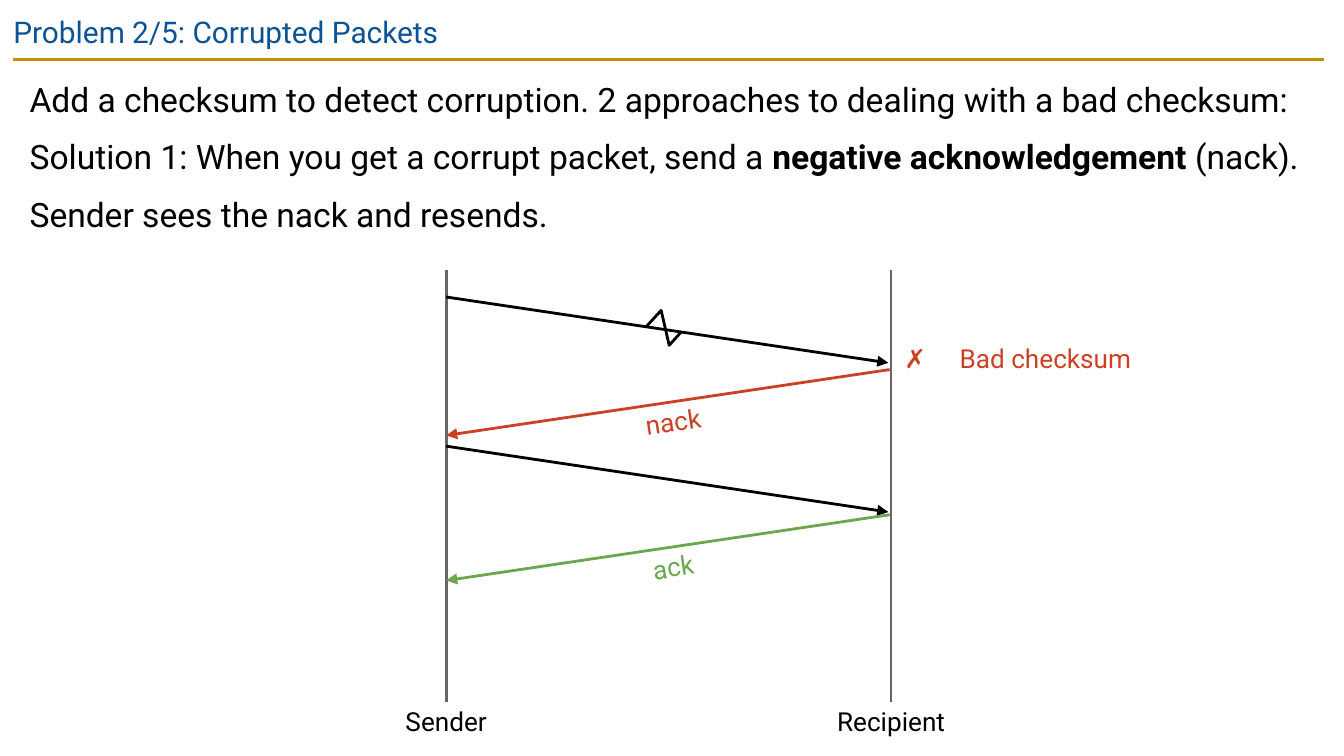
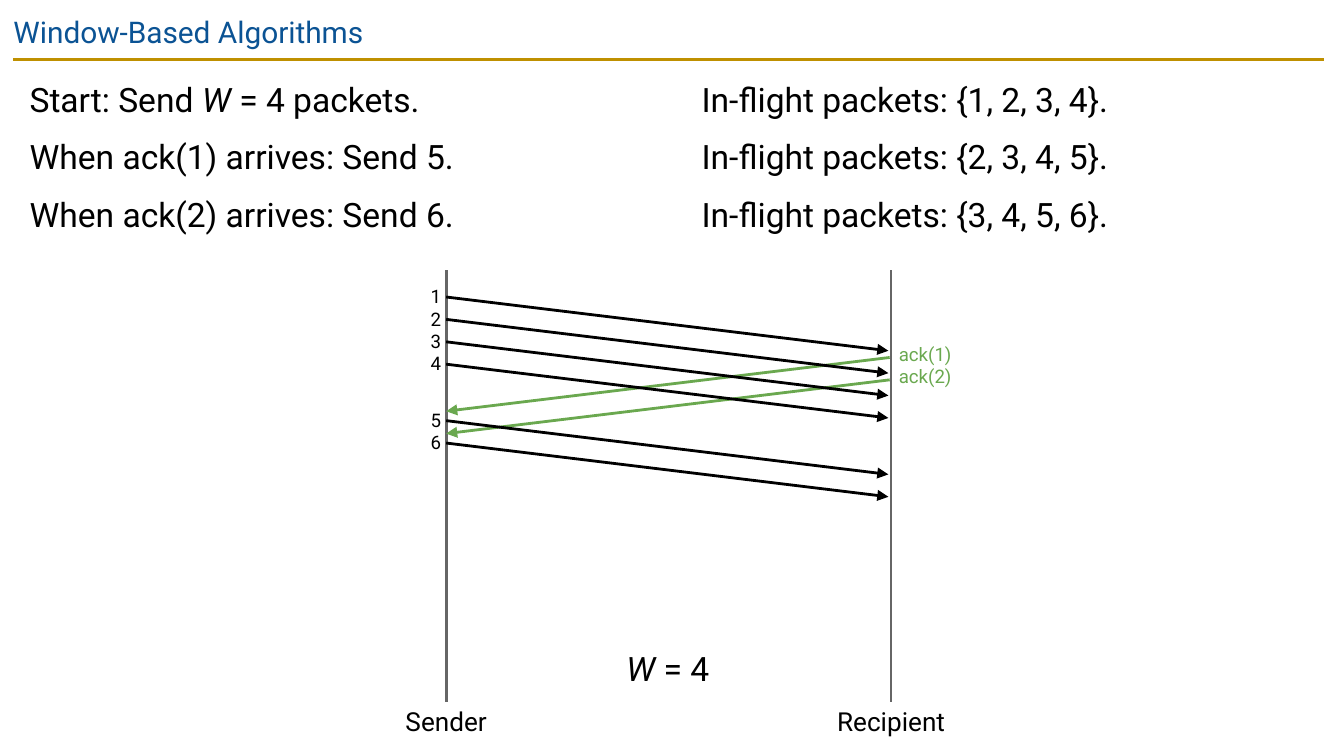
from lxml.etree import SubElement
from pptx import Presentation
from pptx.dml.color import RGBColor
from pptx.enum.shapes import MSO_CONNECTOR as Connector
from pptx.enum.text import MSO_ANCHOR as Anchor, MSO_AUTO_SIZE as AutoSize, PP_ALIGN as Align
from pptx.oxml.ns import qn
from pptx.util import Inches, Pt

FONT = "Roboto"
BLACK, GREY, BLUE, GOLD = "000000", "666666", "0B5394", "BF9000"
RED, GREEN = "CC4125", "6AA84F"

# Lifelines of the sequence diagram
SENDER_X, RECIPIENT_X = 3.32, 6.63
LIFELINE_TOP, LIFELINE_BOTTOM = 2.01, 5.22
ARROW_GAP = 0.02  # between an arrow and the recipient lifeline
LIFELINES = [("Sender", SENDER_X, 1.21), ("Recipient", RECIPIENT_X, 1.31)]

# A paragraph is a list of (text, style) runs; style is "", "b" or "i".
CORRUPTED = {
    "title": "Problem 2/5: Corrupted Packets",
    "body": [
        [("Add a checksum to detect corruption. 2 approaches to dealing with a bad checksum:", "")],
        [("Solution 1: When you get a corrupt packet, send a ", ""),
         ("negative acknowledgement", "b"), (" (nack).", "")],
        [("Sender sees the nack and resends.", "")],
    ],
    "packets": [2.21, 3.32],
    "drop": 0.49,
    # label, colour, start height, label width
    "replies": [("nack", RED, 2.75, 0.53), ("ack", GREEN, 3.83, 0.47)],
    "verdict": [("✗", "b"), ("\tBad checksum", "")],
    "zigzag": [(4.81, 2.43), (4.92, 2.31), (4.98, 2.57), (5.07, 2.47)],
}

WINDOW = {
    "title": "Window-Based Algorithms",
    "body": [
        [("Start: Send ", ""), ("W", "i"),
         (" = 4 packets.\tIn-flight packets: {1, 2, 3, 4}.", "")],
        [("When ack(1) arrives: Send 5.\tIn-flight packets: {2, 3, 4, 5}.", "")],
        [("When ack(2) arrives: Send 6.\tIn-flight packets: {3, 4, 5, 6}.", "")],
    ],
    "drop": 0.4,
    "step": 1 / 6,
    # labels, height of the first arrow
    "packets": [(["1", "2", "3", "4"], 2.21), (["5", "6"], 3.13)],
    "acks": (["ack(1)", "ack(2)"], 2.66),
    "size": [("W", "i"), (" = 4", "")],
}


def rgb(colour):
    return RGBColor.from_string(colour)


def write(frame, paragraphs, size, colour, align=Align.LEFT, insets=(0.1, 0.1),
          line_spacing=None, space_before=0, tab=None):
    """Fill a text frame; insets are (horizontal, vertical), tab is the tab distance in inches."""
    frame.word_wrap = True
    frame.auto_size = AutoSize.NONE
    frame.vertical_anchor = Anchor.TOP
    frame.margin_left = frame.margin_right = Inches(insets[0])
    frame.margin_top = frame.margin_bottom = Inches(insets[1])
    for index, runs in enumerate(paragraphs):
        paragraph = frame.add_paragraph() if index else frame.paragraphs[0]
        properties = paragraph._p.get_or_add_pPr()
        properties.set("marL", "0")
        properties.set("indent", "0")
        if tab:
            properties.set("defTabSz", str(Inches(tab)))
        SubElement(properties, qn("a:buNone"))
        paragraph.alignment = align
        paragraph.space_before = Pt(space_before if index else 0)
        if line_spacing:
            paragraph.line_spacing = line_spacing
        for text, style in runs:
            run = paragraph.add_run()
            run.text = text
            run.font.name = FONT
            run.font.size = Pt(size)
            run.font.color.rgb = rgb(colour)
            run.font.bold = style == "b"
            run.font.italic = style == "i"


def add_text(shapes, box, paragraphs, size, colour, **options):
    textbox = shapes.add_textbox(*map(Inches, box))
    write(textbox.text_frame, paragraphs, size, colour, **options)
    return textbox


def add_line(shapes, start, end, colour, arrow=False):
    line = shapes.add_connector(Connector.STRAIGHT, *map(Inches, (*start, *end)))
    line.line.color.rgb = rgb(colour)
    line.line.width = Pt(1.5)
    properties = line._element.spPr
    if arrow:
        SubElement(properties.find(qn("a:ln")), qn("a:tailEnd"), type="triangle")
    SubElement(properties, qn("a:effectLst"))


def add_packet(shapes, top, drop):
    add_line(shapes, (SENDER_X, top), (RECIPIENT_X - ARROW_GAP, top + drop), BLACK, arrow=True)


def add_reply(shapes, top, drop, colour):
    add_line(shapes, (RECIPIENT_X - ARROW_GAP / 2, top), (SENDER_X, top + drop), colour, arrow=True)


def fill_placeholder(placeholder, box, paragraphs, size, colour, **options):
    placeholder.left, placeholder.top, placeholder.width, placeholder.height = map(Inches, box)
    write(placeholder.text_frame, paragraphs, size, colour, **options)


def add_diagram_slide(presentation, content):
    """Add a slide with title, rule, body and the two labelled lifelines."""
    slide = presentation.slides.add_slide(presentation.slide_layouts[1])
    shapes = slide.shapes
    fill_placeholder(shapes.title, (0, 0, 9.32, 0.43), [[(content["title"], "")]], 16, BLUE)
    fill_placeholder(slide.placeholders[1], (0.12, 0.44, 9.74, 1.46), content["body"], 18, BLACK,
                     line_spacing=1.15, space_before=6, tab=5)
    add_line(shapes, (0.1, 0.44), (9.85, 0.44), GOLD)
    for name, x, width in LIFELINES:
        add_line(shapes, (x, LIFELINE_TOP), (x, LIFELINE_BOTTOM), GREY)
        add_text(shapes, (x - width / 2, LIFELINE_BOTTOM, width, 0.3), [[(name, "")]], 14, BLACK,
                 align=Align.CENTER, insets=(0.1, 0.03))
    return shapes


def add_zigzag(shapes, points):
    first, *others = [(Inches(x), Inches(y)) for x, y in points]
    builder = shapes.build_freeform(*first)
    builder.add_line_segments(others, close=False)
    zigzag = builder.convert_to_shape()
    zigzag.shadow.inherit = False
    zigzag.fill.background()
    zigzag.line.color.rgb = rgb(BLACK)
    zigzag.line.width = Pt(1.5)


def build_corrupted(presentation):
    shapes = add_diagram_slide(presentation, CORRUPTED)
    drop = CORRUPTED["drop"]
    for top in CORRUPTED["packets"]:
        add_packet(shapes, top, drop)
    label_center = 5.01
    for name, colour, top, width in CORRUPTED["replies"]:
        reply = shapes.add_group_shape().shapes
        add_reply(reply, top, drop, colour)
        label = add_text(reply, (label_center - width / 2, top + 0.24, width, 0.31),
                         [[(name, "")]], 14, colour, align=Align.CENTER, insets=(0.03, 0.03))
        label.rotation = 351.5
    add_text(shapes, (6.7, 2.52, 1.83, 0.3), [CORRUPTED["verdict"]], 14, RED,
             insets=(0.03, 0.03), tab=0.41)
    add_zigzag(shapes, CORRUPTED["zigzag"])


def build_window(presentation):
    shapes = add_diagram_slide(presentation, WINDOW)
    drop, step = WINDOW["drop"], WINDOW["step"]

    def add_labels(left, width, first_top, labels, colour, align):
        """Stack one label per arrow, the first centred on first_top."""
        box = (left, first_top - 0.19, width, 0.2 + 0.17 * len(labels))
        add_text(shapes, box, [[(label, "")] for label in labels], 10, colour, align=align)

    ack_labels, ack_top = WINDOW["acks"]
    for index in range(len(ack_labels)):
        add_reply(shapes, ack_top + index * step, drop, GREEN)
    add_labels(6.59, 0.73, ack_top - 0.02, ack_labels, GREEN, Align.LEFT)
    for labels, top in WINDOW["packets"]:
        for index in range(len(labels)):
            add_packet(shapes, top + index * step, drop)
        add_labels(3.09, 0.29, top, labels, BLACK, Align.RIGHT)
    add_text(shapes, (4.49, 4.72, 0.96, 0.5), [WINDOW["size"]], 18, BLACK, align=Align.CENTER)


def main():
    presentation = Presentation()
    presentation.slide_width = Inches(10)
    presentation.slide_height = Inches(10) * 9 // 16
    build_corrupted(presentation)
    build_window(presentation)
    presentation.save("out.pptx")


if __name__ == "__main__":
    main()
